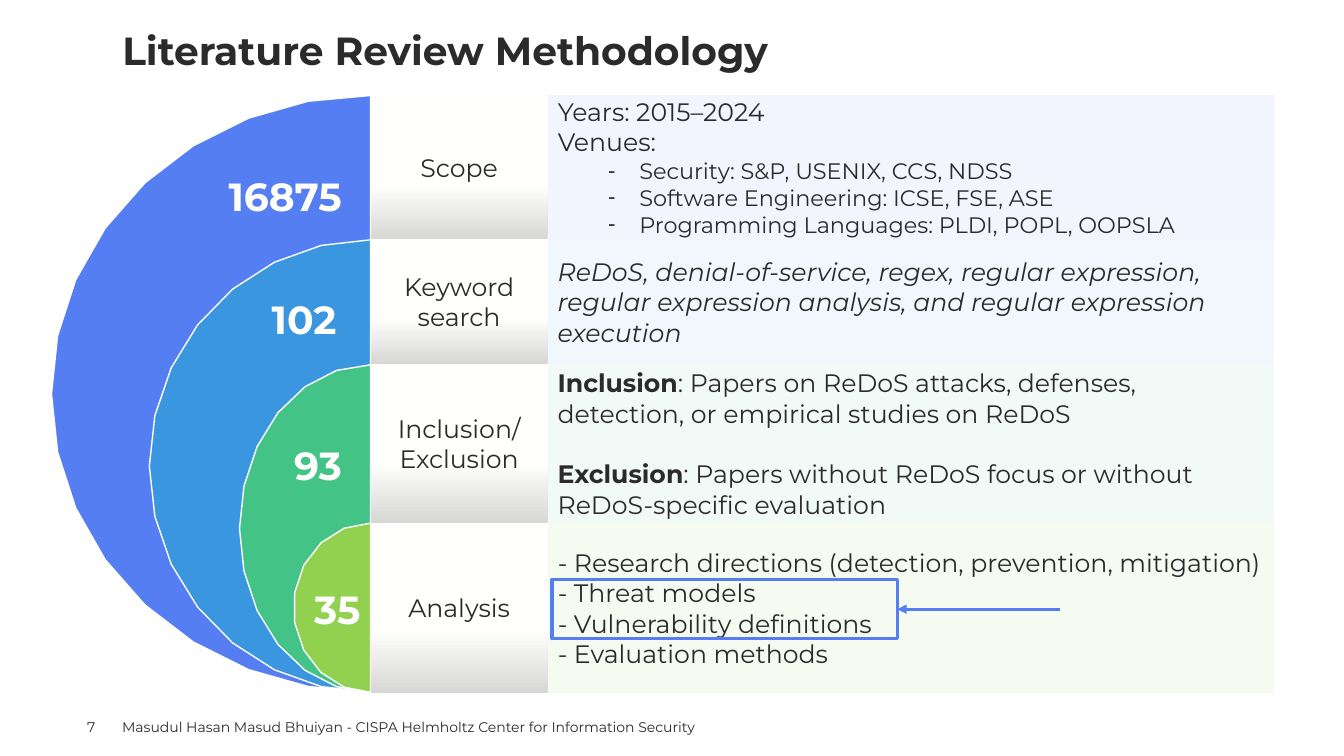
from dataclasses import dataclass
from math import cos, pi, sin, sqrt

from lxml.etree import SubElement
from pptx import Presentation
from pptx.dml.color import RGBColor
from pptx.enum.shapes import MSO_CONNECTOR as Connector, MSO_SHAPE as Preset
from pptx.enum.text import MSO_ANCHOR as Anchor, MSO_AUTO_SIZE as AutoSize, PP_ALIGN as Align
from pptx.oxml.ns import qn
from pptx.util import Pt

COLORS = {
    "ink": "2B2B2B", "white": "FFFFFE", "shade": "D7D7D6",
    "scope": "567EF3", "keyword": "3996DF", "criteria": "44C386", "analysis": "92D050",
}
FONT = "Montserrat"
ARC_RIGHT, ARC_BOTTOM = 264.7, 494.5
LABEL_WIDTH, DETAIL_LEFT, DETAIL_WIDTH = 126.5, 391.2, 518.8
ROW_TOPS = [67.8, 170.9, 260.2, 373.3, 495.2]


@dataclass(frozen=True)
class Span:
    text: str
    size: float = 18
    color: str = "ink"
    bold: bool = False
    italic: bool = False
    on_new_line: bool = False


@dataclass(frozen=True)
class Line:
    spans: tuple[Span, ...]
    align: Align = Align.LEFT
    dashed: bool = False
    gap: float = 0


@dataclass(frozen=True)
class Stage:
    color: str
    arc_left: float
    count: str
    count_box: tuple[float, float, float]
    label: tuple[str, ...]
    details: tuple[Line, ...]
    alpha: int = 7
    is_list: bool = False


def plain(text: str) -> Line:
    return Line((Span(text),))


def dashed(text: str) -> Line:
    return Line((Span(text, size=16),), dashed=True)


def criterion(name: str, rule: str, gap: float = 0) -> Line:
    return Line((Span(name, bold=True), Span(rule)), gap=gap)


STAGES = [
    Stage("scope", 36.8, "16875", (156.2, 119.5, 103), ("Scope",), (
        Line((Span("Years: 2015–2024"), Span("Venues:", on_new_line=True))),
        dashed("Security: S&P, USENIX, CCS, NDSS"),
        dashed("Software Engineering: ICSE, FSE, ASE"),
        dashed("Programming Languages: PLDI, POPL, OOPSLA")), is_list=True),
    Stage("keyword", 106.7, "102", (187, 207.4, 61.2), ("Keyword search",), (
        Line((Span("ReDoS, denial-of-service, regex, regular expression, regular expression "
                   "analysis, and regular expression execution", italic=True),)),)),
    Stage("criteria", 171.1, "93", (203, 311.8, 61.2), ("Inclusion/", "Exclusion"), (
        criterion("Inclusion", ": Papers on ReDoS attacks, defenses, detection, "
                  "or empirical studies on ReDoS"),
        criterion("Exclusion", ": Papers without ReDoS focus or without "
                  "ReDoS-specific evaluation", gap=21.8))),
    Stage("analysis", 209.6, "35", (217.4, 414.7, 59.8), ("Analysis",), (
        plain("- Research directions (detection, prevention, mitigation)"),
        plain("- Threat models"), plain("- Vulnerability definitions"),
        plain("- Evaluation methods")), alpha=8, is_list=True),
]


def rgb(name: str) -> RGBColor:
    return RGBColor.from_string(COLORS[name])


def place(shape, left: float, top: float, width: float, height: float) -> None:
    shape.left, shape.top, shape.width, shape.height = map(Pt, (left, top, width, height))


def write(shape, lines: tuple[Line, ...], anchor: Anchor = Anchor.MIDDLE,
          wrap: bool = True, sides: float = 7.2, ends: float = 3.6) -> None:
    frame = shape.text_frame
    frame.auto_size, frame.word_wrap, frame.vertical_anchor = AutoSize.NONE, wrap, anchor
    frame.margin_left = frame.margin_right = Pt(sides)
    frame.margin_top = frame.margin_bottom = Pt(ends)
    for index, line in enumerate(lines):
        paragraph = frame.add_paragraph() if index else frame.paragraphs[0]
        properties = paragraph._p.get_or_add_pPr()
        properties.set("marL", str(Pt(58.3 if line.dashed else 0)))
        properties.set("indent", str(Pt(-22.3 if line.dashed else 0)))
        if line.dashed:
            paragraph.level = 1
            SubElement(properties, qn("a:buChar")).set("char", "-")
        else:
            SubElement(properties, qn("a:buNone"))
        paragraph.alignment, paragraph.space_before = line.align, Pt(line.gap)
        for span in line.spans:
            if span.on_new_line:
                paragraph.add_line_break()
                SubElement(paragraph._p[-1], qn("a:rPr")).set("sz", str(span.size * 100))
            run = paragraph.add_run()
            run.text = span.text
            font = run.font
            font.name, font.size = FONT, Pt(span.size)
            font.bold, font.italic = span.bold, span.italic
            font.color.rgb = rgb(span.color)


def add_text(slide, box: tuple[float, float, float, float], line: Line, **layout):
    caption = slide.shapes.add_textbox(*map(Pt, box))
    write(caption, (line,), **layout)
    return caption


def add_rectangle(slide, left: float, top: float, width: float, height: float):
    rectangle = slide.shapes.add_shape(Preset.RECTANGLE, *map(Pt, (left, top, width, height)))
    rectangle.shadow.inherit = False
    rectangle.line.fill.background()
    return rectangle


def add_arc(slide, stage: Stage, top: float) -> None:
    middle, radius = (top + ARC_BOTTOM) / 2, (ARC_BOTTOM - top) / 2
    reach = ARC_RIGHT - stage.arc_left
    steps = round(1.1 * sqrt(radius))
    angles = [pi * step / steps for step in range(steps + 1)]
    points = [(Pt(ARC_RIGHT - reach * sin(a)), Pt(middle - radius * cos(a))) for a in angles]
    builder = slide.shapes.build_freeform(*points[0])
    builder.add_line_segments(points[1:], close=True)
    arc = builder.convert_to_shape()
    arc.shadow.inherit = False
    arc.fill.solid()
    arc.fill.fore_color.rgb = rgb(stage.color)
    arc.line.color.rgb, arc.line.width = rgb("white"), Pt(1)


def add_label(slide, stage: Stage, top: float, height: float) -> None:
    label = add_rectangle(slide, ARC_RIGHT, top, LABEL_WIDTH, height)
    label.fill.gradient()
    label.fill.gradient_angle = 90
    for stop, (color, position) in zip(label.fill.gradient_stops, (("shade", 0), ("white", 0.38))):
        stop.color.rgb, stop.position = rgb(color), position
    write(label, tuple(Line((Span(text),), Align.CENTER) for text in stage.label))


def add_details(slide, stage: Stage, top: float, height: float, bodies) -> None:
    box = (DETAIL_LEFT, top, DETAIL_WIDTH, height)
    if stage.is_list:
        details = next(bodies)
        place(details, *box)
    else:
        details = add_rectangle(slide, *box)
    details.fill.solid()
    details.fill.fore_color.rgb = rgb(stage.color)
    tint = details.element.spPr.find(qn("a:solidFill"))[0]
    SubElement(tint, qn("a:alpha")).set("val", str(stage.alpha * 1000))
    write(details, stage.details)


def add_highlight(slide) -> None:
    highlight = add_rectangle(slide, 394.3, 413.9, 246.6, 42.5)
    highlight.fill.background()
    arrow = slide.shapes.add_connector(
        Connector.STRAIGHT, Pt(757.4), Pt(435.15), Pt(640.9), Pt(435.15))
    arrow.end_connect(highlight, 3)
    for outlined in (highlight, arrow):
        outlined.line.color.rgb, outlined.line.width = rgb("scope"), Pt(2.25)
    SubElement(arrow.line._get_or_add_ln(), qn("a:tailEnd")).set("type", "triangle")
    SubElement(arrow.element.spPr, qn("a:effectLst"))


def main() -> None:
    """Build the literature review methodology slide."""
    deck = Presentation()
    deck.slide_width, deck.slide_height = Pt(960), Pt(540)
    slide = deck.slides.add_slide(deck.slide_layouts.get_by_name("Two Content"))
    title, *lists = slide.placeholders
    place(title, 80.2, 14.4, 799.2, 42.5)
    write(title, (Line((Span("Literature Review Methodology", 28, bold=True),)),), ends=0)

    bodies = iter(lists)
    for stage, top, bottom in zip(STAGES, ROW_TOPS, ROW_TOPS[1:]):
        add_arc(slide, stage, top + 0.4)
        add_details(slide, stage, top, bottom - top, bodies)
        add_label(slide, stage, top, bottom - top)
    for stage in STAGES:
        count = Line((Span(stage.count, 28, "white", bold=True),))
        caption = add_text(slide, (*stage.count_box, 41.2), count, anchor=Anchor.TOP)
        caption.text_frame.auto_size = AutoSize.SHAPE_TO_FIT_TEXT
    add_highlight(slide)

    add_text(slide, (25, 505, 43.2, 20), Line((Span("7", 10),), Align.RIGHT),
             anchor=Anchor.BOTTOM, sides=0, ends=0)
    author = "Masudul Hasan Masud Bhuiyan - CISPA Helmholtz Center for Information Security"
    add_text(slide, (80.2, 505, 385.2, 20), Line((Span(author, 10),)),
             anchor=Anchor.BOTTOM, wrap=False, ends=0)
    deck.save("out.pptx")


if __name__ == "__main__":
    main()
